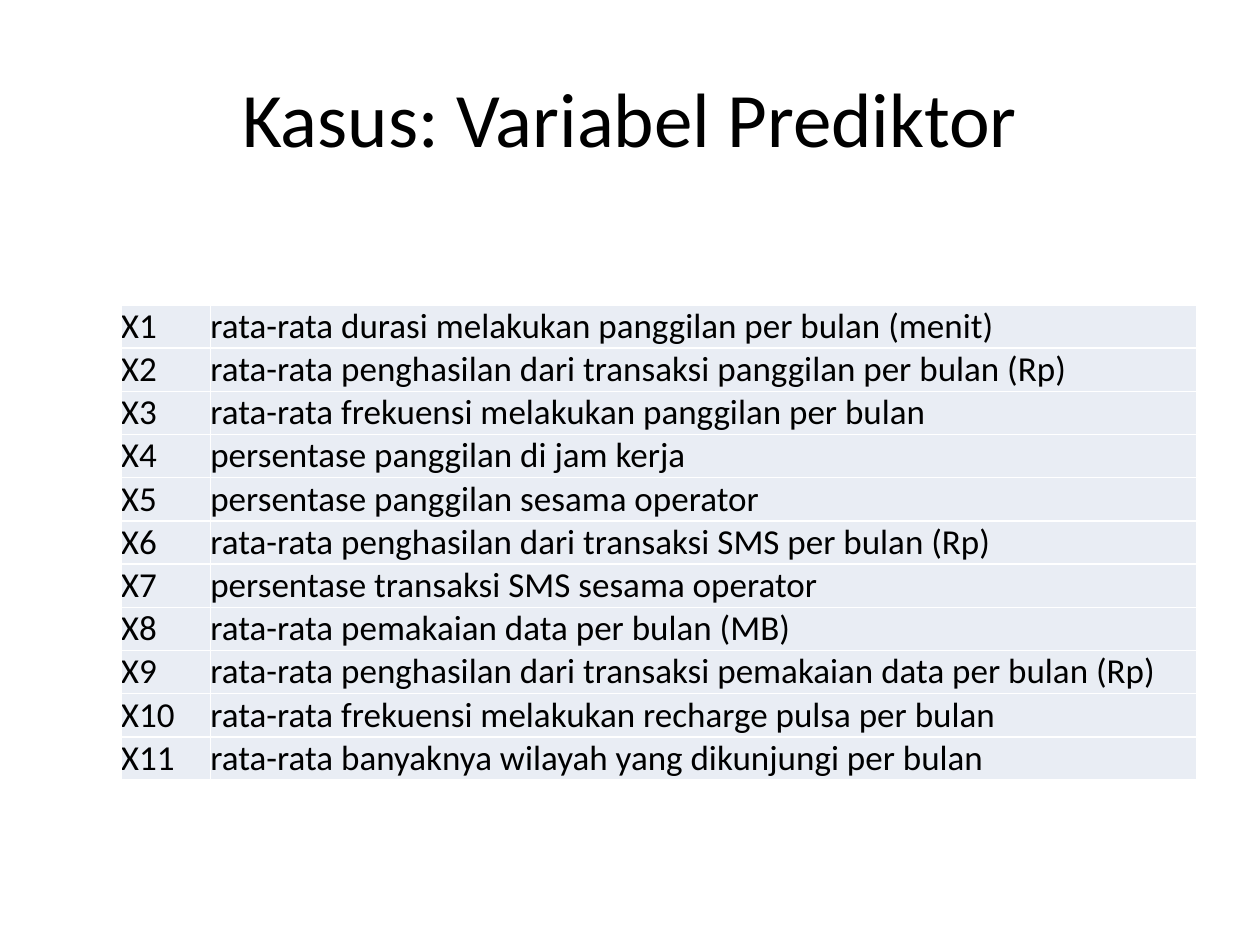
from lxml.etree import SubElement
from pptx import Presentation
from pptx.dml.color import RGBColor
from pptx.enum.text import MSO_ANCHOR, PP_ALIGN
from pptx.oxml.ns import qn
from pptx.util import Pt

BLACK = RGBColor(0x00, 0x00, 0x00)
WHITE = RGBColor(0xFF, 0xFF, 0xFF)
PALE = RGBColor(0xE9, 0xED, 0xF4)

TITLE = "Kasus: Variabel Prediktor"
ITEMS = [
    "rata-rata durasi melakukan panggilan per bulan (menit)",
    "rata-rata penghasilan dari transaksi panggilan per bulan (Rp)",
    "rata-rata frekuensi melakukan panggilan per bulan",
    "persentase panggilan di jam kerja",
    "persentase panggilan sesama operator",
    "rata-rata penghasilan dari transaksi SMS per bulan (Rp)",
    "persentase transaksi SMS sesama operator",
    "rata-rata pemakaian data per bulan (MB)",
    "rata-rata penghasilan dari transaksi pemakaian data per bulan (Rp)",
    "rata-rata frekuensi melakukan recharge pulsa per bulan",
    "rata-rata banyaknya wilayah yang dikunjungi per bulan",
]
WIDTHS = [Pt(51.1), Pt(563.8)]
ROW = Pt(24.7)
BARE = dict.fromkeys(
    ["margin_left", "margin_top", "margin_right", "margin_bottom"], 0)


def apply(item, form):
    """Set each attribute named in form on the item."""
    for name, value in form.items():
        setattr(item, name, value)


def write(frame, text, size, align):
    """Put one line of black Calibri in a text frame."""
    line = frame.paragraphs[0]
    line.alignment = align
    run = line.add_run()
    run.text = text
    apply(run.font, {"name": "Calibri", "size": size})
    run.font.color.rgb = BLACK


def add_title(slide):
    """Add the centred slide title."""
    box = slide.shapes.add_textbox(Pt(36), Pt(21.6), Pt(648), Pt(90))
    apply(box.text_frame,
          {"word_wrap": True, "vertical_anchor": MSO_ANCHOR.MIDDLE})
    write(box.text_frame, TITLE, Pt(44), PP_ALIGN.CENTER)


def add_rules(cell):
    """Draw a thin white line on each side of a cell."""
    props = cell._tc.get_or_add_tcPr()
    for side in "LRTB":
        line = SubElement(props, qn(f"a:ln{side}"), w=str(Pt(1)))
        fill = SubElement(line, qn("a:solidFill"))
        SubElement(fill, qn("a:srgbClr"), val=str(WHITE))


def fill_cell(cell, text):
    """Style one cell and write its text."""
    apply(cell, BARE)
    add_rules(cell)
    cell.fill.solid()
    cell.fill.fore_color.rgb = PALE
    write(cell.text_frame, text, Pt(20), PP_ALIGN.LEFT)


def add_grid(slide):
    """Add the table of numbered predictors."""
    count = len(ITEMS)
    table = slide.shapes.add_table(
        count, 2, Pt(69.1), Pt(174.2), sum(WIDTHS), ROW * count).table
    apply(table, {"first_row": False, "horz_banding": False})
    for col, width in zip(table.columns, WIDTHS):
        col.width = width
    for num, (row, item) in enumerate(zip(table.rows, ITEMS), 1):
        row.height = ROW
        for cell, text in zip(row.cells, [f"X{num}", item]):
            fill_cell(cell, text)


def main():
    """Build and save the slide."""
    deck = Presentation()
    apply(deck, {"slide_width": Pt(720), "slide_height": Pt(540)})
    slide = deck.slides.add_slide(deck.slide_layouts[6])
    add_title(slide)
    add_grid(slide)
    deck.save("out.pptx")


main()
